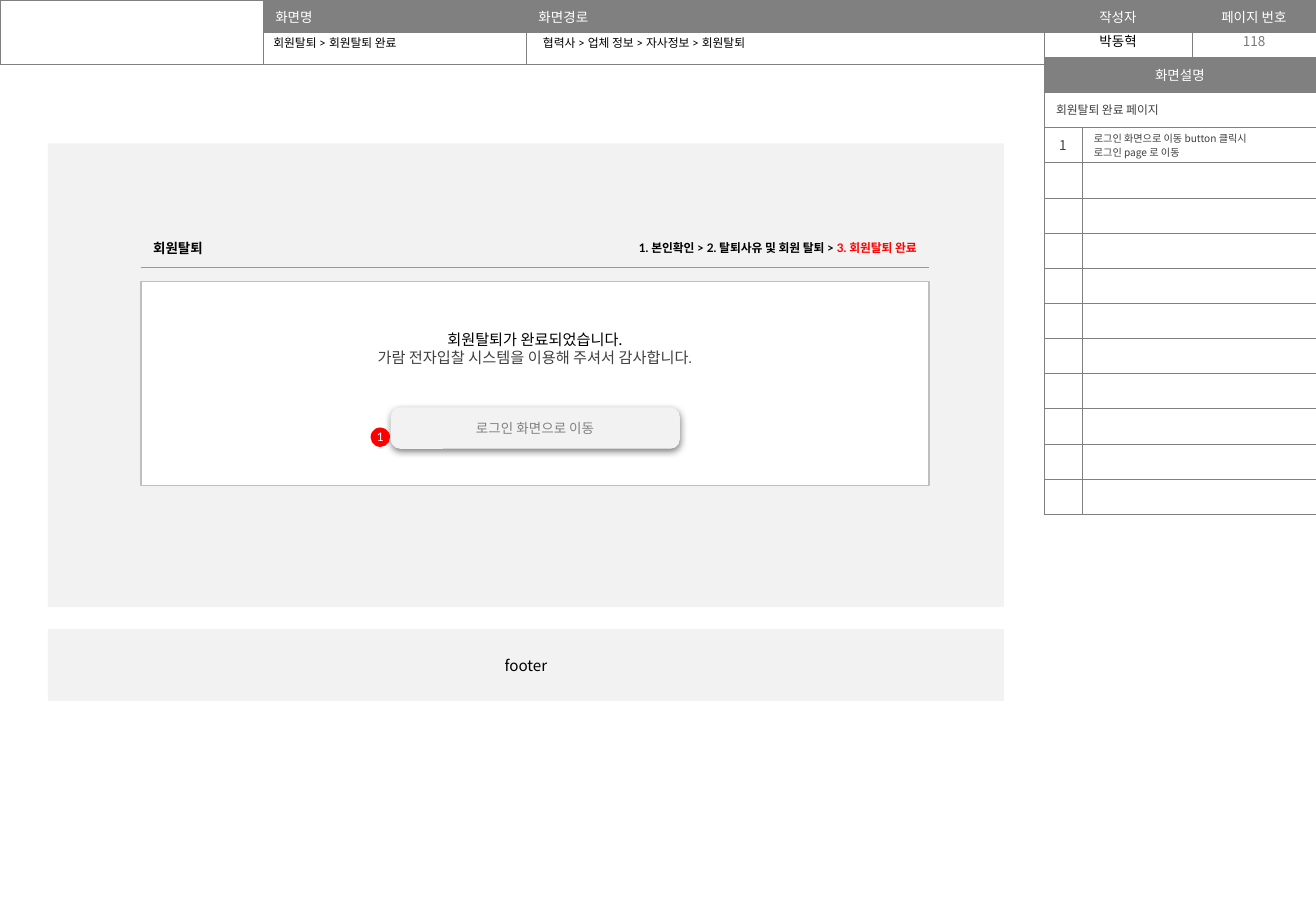
from lxml.etree import SubElement
from pptx import Presentation
from pptx.dml.color import RGBColor
from pptx.enum.shapes import MSO_SHAPE as Preset
from pptx.enum.text import MSO_ANCHOR as Anchor, MSO_AUTO_SIZE as AutoSize, PP_ALIGN as Align
from pptx.oxml.ns import qn
from pptx.util import Inches, Pt

BLACK = RGBColor(0, 0, 0)
WHITE = RGBColor(255, 255, 255)
RED = RGBColor(255, 0, 0)
GRAY = RGBColor(0x80, 0x80, 0x80)
NUMBER_GRAY = RGBColor(0x79, 0x79, 0x79)
DARK = RGBColor(0x40, 0x40, 0x40)
PANEL = RGBColor(0xF2, 0xF2, 0xF2)
OUTLINE = RGBColor(0xBF, 0xBF, 0xBF)
RULE = RGBColor(0x99, 0x99, 0x99)
NOTO, LATO, ARIAL = "Noto Sans CJK KR", "Lato", "Arial"


def write(paragraph, text, size=8, color=BLACK, font=NOTO, bold=False, align=Align.LEFT, leading=None):
    """Add a formatted run to a paragraph."""
    paragraph.alignment = align
    if leading:
        paragraph.line_spacing = Pt(leading)
    run = paragraph.add_run()
    run.text = text
    run.font.size = Pt(size)
    run.font.bold = bold
    run.font.color.rgb = color
    run.font.name = font
    SubElement(run.font._element, qn("a:ea"), typeface=NOTO)


class Wireframe:
    """Draw screen-design elements on a grid of 100 columns by 100 rows."""

    def __init__(self, deck):
        self.column, self.row = deck.slide_width / 100, deck.slide_height / 100
        self.slide = deck.slides.add_slide(deck.slide_layouts[5])
        self.shapes = self.slide.shapes

    def place(self, left, top, width, height):
        """Turn grid units into slide lengths."""
        return (round(left * self.column), round(top * self.row),
                round(width * self.column), round(height * self.row))

    def frame(self, holder, inset_x=0.1, inset_y=0.0, anchor=Anchor.MIDDLE):
        """Set the wrapping, insets and anchor of a text frame."""
        frame = holder.text_frame
        frame.word_wrap = True
        frame.auto_size = AutoSize.NONE
        frame.margin_left = frame.margin_right = Inches(inset_x)
        frame.margin_top = frame.margin_bottom = Inches(inset_y)
        frame.vertical_anchor = anchor
        return frame

    def title(self, area, text, **style):
        """Move and fill the title placeholder."""
        heading = self.shapes.title
        heading.left, heading.top, heading.width, heading.height = self.place(*area)
        write(self.frame(heading).paragraphs[0], text, **style)

    def label(self, area, text, **style):
        """Add a one-line text box."""
        box = self.shapes.add_textbox(*self.place(*area))
        write(self.frame(box).paragraphs[0], text, **style)

    def box(self, area, fill, line=None, corner=0, shadow=False):
        """Add a rectangle with optional outline, round corners and shadow."""
        block = self.shapes.add_shape(Preset.ROUNDED_RECTANGLE, *self.place(*area))
        block.adjustments[0] = corner
        block.shadow.inherit = False
        block.fill.solid()
        block.fill.fore_color.rgb = fill
        if line is None:
            block.line.fill.background()
        else:
            block.line.color.rgb = line
            block.line.width = Pt(0.75)
        if shadow:
            effects = block._element.spPr.find(qn("a:effectLst"))
            outer = SubElement(effects, qn("a:outerShdw"), blurRad=str(Pt(4.5)), dist=str(Pt(1.5)),
                               dir="5400000", algn="t", rotWithShape="0")
            tint = SubElement(outer, qn("a:srgbClr"), val=str(BLACK))
            SubElement(tint, qn("a:alpha"), val="50000")
        return block

    def table(self, left, top, columns, rows, color, weight, edges="LRTB"):
        """Add an unfilled table with the given cell borders."""
        area = self.place(left, top, sum(columns), sum(rows))
        grid = self.shapes.add_table(len(rows), len(columns), *area).table
        grid.first_row = grid.horz_banding = False
        for column, width in zip(grid.columns, columns):
            column.width = round(width * self.column)
        for row, height in zip(grid.rows, rows):
            row.height = round(height * self.row)
        for cell in grid.iter_cells():
            cell.margin_left = cell.margin_right = Inches(0.1)
            cell.margin_top = cell.margin_bottom = Inches(0.02)
            cell.vertical_anchor = Anchor.MIDDLE
            properties = cell._tc.get_or_add_tcPr()
            for edge in "LRTB":
                border = SubElement(properties, qn(f"a:ln{edge}"), w=str(Pt(weight)))
                if edge in edges:
                    SubElement(SubElement(border, qn("a:solidFill")), qn("a:srgbClr"), val=str(color))
                else:
                    SubElement(border, qn("a:noFill"))
            cell.fill.background()
            SubElement(cell.text_frame.paragraphs[0]._p, qn("a:endParaRPr"), sz="600")
        return grid

    def cell(self, cell, *lines, fill=None, **style):
        """Fill a table cell with one paragraph per line."""
        if fill is not None:
            cell.fill.solid()
            cell.fill.fore_color.rgb = fill
        for index, text in enumerate(lines):
            paragraph = cell.text_frame.add_paragraph() if index else cell.text_frame.paragraphs[0]
            write(paragraph, text, **style)


def main():
    """Build the withdrawal-complete screen design."""
    deck = Presentation()
    deck.slide_width, deck.slide_height = Inches(10.83), Inches(7.5)
    screen = Wireframe(deck)
    side, author_width, page_width = 79.33, 11.27, 9.4

    header = screen.table(0, 0, [20, 20, 39.33, author_width, page_width], [3.55] * 2, GRAY, 0.25)
    header.cell(0, 0).merge(header.cell(1, 0))
    for index, heading in enumerate(["화면명", "화면경로", "작성자", "페이지 번호"], 1):
        screen.cell(header.cell(0, index), heading, fill=GRAY, color=WHITE,
                    align=Align.CENTER if index > 2 else Align.LEFT)
    screen.label((side, 2.93, author_width, 3.2), "박동혁", align=Align.CENTER)
    screen.label((side + author_width, 2.93, page_width, 3.2), "118", color=NUMBER_GRAY, align=Align.CENTER)
    screen.title((19.85, 3.2, 20.5, 2.93), "회원탈퇴 > 회원탈퇴 완료", size=7, font=LATO)
    screen.label((40.35, 3.2, 38.9, 2.93), "협력사 > 업체 정보 > 자사정보 > 회원탈퇴", size=7, font=LATO)

    notes = screen.table(side, 6.27, [2.87, 17.8], [3.86] * 13, GRAY, 0.25)
    for row in range(2):
        notes.cell(row, 0).merge(notes.cell(row, 1))
    screen.cell(notes.cell(0, 0), "화면설명", fill=GRAY, color=WHITE, align=Align.CENTER)
    screen.cell(notes.cell(1, 0), "회원탈퇴 완료 페이지", size=7, color=DARK)
    screen.cell(notes.cell(2, 0), "1", color=DARK, align=Align.CENTER)
    screen.cell(notes.cell(2, 1), "로그인 화면으로 이동 button 클릭시", "로그인 page 로 이동", size=6, color=DARK)

    screen.box((3.63, 15.73, 72.65, 50.93), PANEL)
    footer = screen.box((3.63, 69.07, 72.65, 7.87), PANEL)
    write(screen.frame(footer).paragraphs[0], "footer", size=9, align=Align.CENTER)

    left, width = 10.71, 59.88
    steps = screen.table(left, 24.93, [width / 2] * 2, [4.4], RULE, 0.75, edges="B")
    screen.cell(steps.cell(0, 0), "회원탈퇴", font=LATO, bold=True)
    screen.cell(steps.cell(0, 1), "1. 본인확인 > 2. 탈퇴사유 및 회원 탈퇴 > ", size=7, font=LATO,
                bold=True, align=Align.RIGHT)
    write(steps.cell(0, 1).text_frame.paragraphs[0], "3. 회원탈퇴 완료", size=7, color=RED,
          font=LATO, bold=True, align=Align.RIGHT)

    message = screen.box((left, 30.93, width, 22.35), WHITE, line=OUTLINE)
    notice = screen.frame(message, inset_y=0.4, anchor=Anchor.TOP)
    write(notice.paragraphs[0], "회원탈퇴가 완료되었습니다.", size=9, align=Align.CENTER, leading=10.7)
    write(notice.add_paragraph(), "가람 전자입찰 시스템을 이용해 주셔서 감사합니다.", size=9,
          color=DARK, font=ARIAL, align=Align.CENTER, leading=10.7)

    login = screen.box((29.73, 44.8, 21.88, 4.4), PANEL, line=PANEL, corner=0.22, shadow=True)
    write(screen.frame(login, 0).paragraphs[0], "로그인 화면으로 이동", color=GRAY, font=ARIAL, align=Align.CENTER)
    badge = screen.box((28.16, 46.93, 1.48, 2.13), RED, corner=0.5)
    write(screen.frame(badge, 0).paragraphs[0], "1", size=7, color=WHITE, font=LATO, align=Align.CENTER)

    deck.save("out.pptx")


if __name__ == "__main__":
    main()
